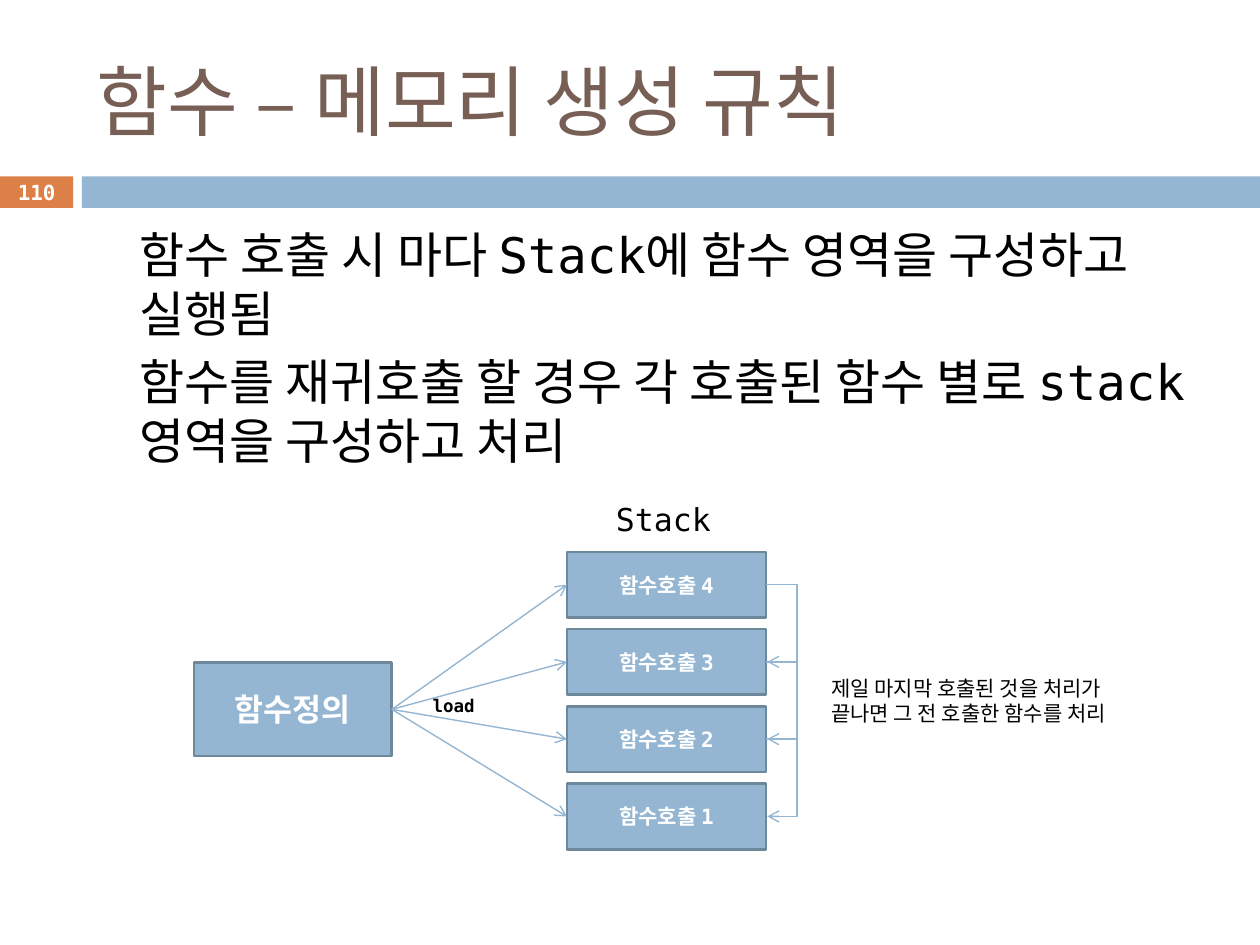
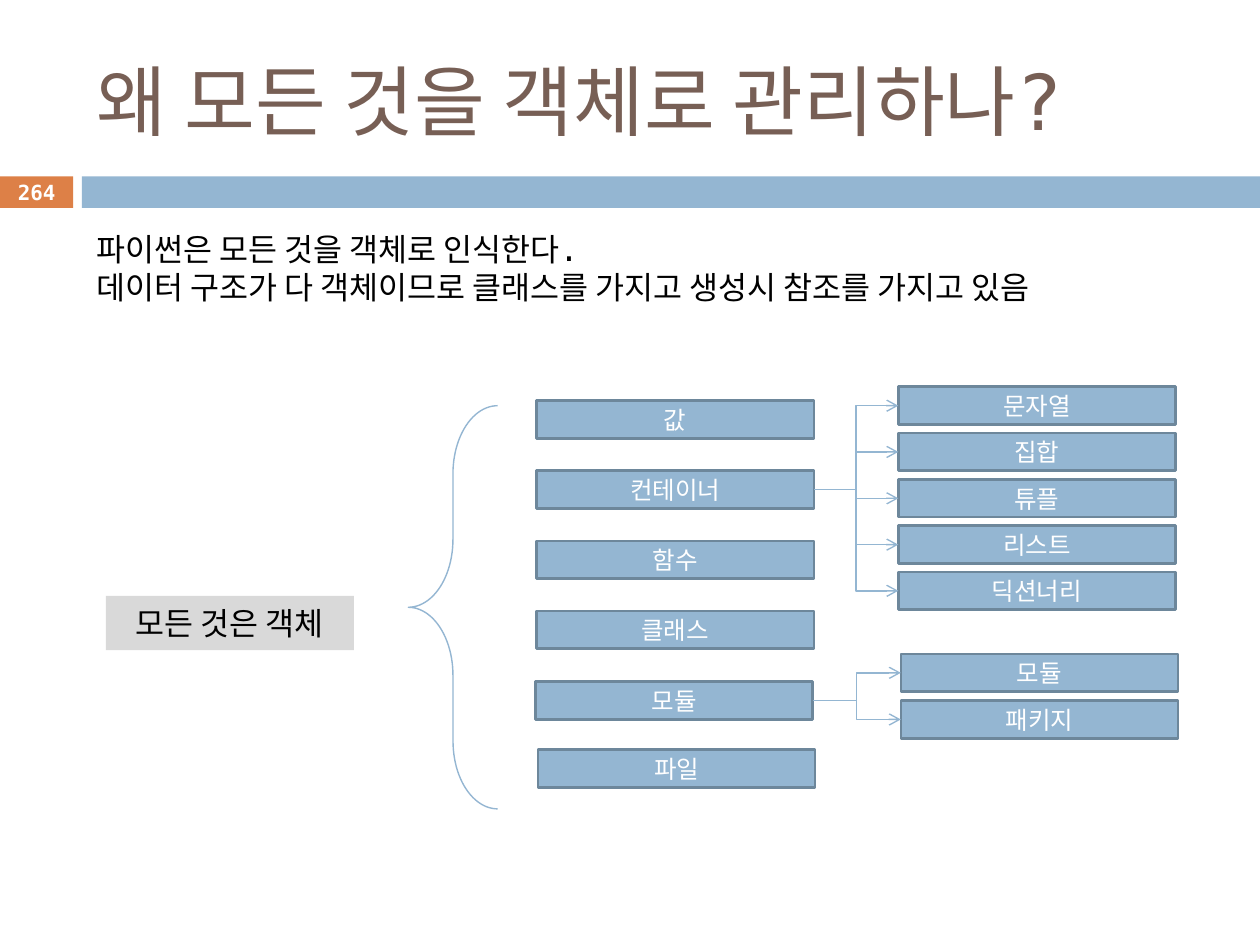
"""Build two lecture slides on call stacks and on objects in Python."""
from dataclasses import dataclass

from lxml import etree
from pptx import Presentation
from pptx.dml.color import RGBColor
from pptx.enum.shapes import MSO_CONNECTOR, MSO_SHAPE
from pptx.enum.text import MSO_ANCHOR, PP_ALIGN
from pptx.oxml.ns import qn
from pptx.shapes.autoshape import Shape
from pptx.slide import Slide
from pptx.util import Inches, Pt

BLUE = RGBColor(0x94, 0xB6, 0xD2)
BLUE_EDGE = RGBColor(0x6D, 0x87, 0x9B)
ORANGE = RGBColor(0xDD, 0x80, 0x47)
BROWN = RGBColor(0x77, 0x5F, 0x55)
GREY = RGBColor(0xD9, 0xD9, 0xD9)
BLACK = RGBColor(0, 0, 0)
WHITE = RGBColor(0xFF, 0xFF, 0xFF)
FONT = "DejaVu Sans Mono"
THIN, EDGE = Pt(0.79), Pt(1.5)
RECTANGLE, LEFT_BRACE = MSO_SHAPE.RECTANGLE, MSO_SHAPE.LEFT_BRACE
STRAIGHT, ELBOW = MSO_CONNECTOR.STRAIGHT, MSO_CONNECTOR.ELBOW
LEFT, CENTER = PP_ALIGN.LEFT, PP_ALIGN.CENTER
TOP, MIDDLE = MSO_ANCHOR.TOP, MSO_ANCHOR.MIDDLE


@dataclass(frozen=True)
class Area:
    """A rectangle on the page, in inches."""
    left: float
    top: float
    width: float
    height: float

    @property
    def right(self) -> float:
        """Return the right edge."""
        return self.left + self.width

    @property
    def middle(self) -> float:
        """Return the height of the horizontal centre line."""
        return self.top + self.height / 2

    def lengths(self) -> tuple:
        """Return left, top, width and height as lengths."""
        return tuple(Inches(v) for v in (self.left, self.top, self.width, self.height))


@dataclass(frozen=True)
class Column:
    """Equal boxes spread evenly from the first area to the last top."""
    first: Area
    last_top: float
    labels: tuple[str, ...]
    size: float = 14
    bold: bool = False

    def areas(self) -> list[Area]:
        """Return the area of each box from top to bottom."""
        first = self.first
        pitch = (self.last_top - first.top) / (len(self.labels) - 1)
        return [Area(first.left, first.top + row * pitch, first.width, first.height)
                for row in range(len(self.labels))]


def write(shape: Shape, text: str, *, size: float, color: RGBColor = BLACK, bold: bool = False,
          align: PP_ALIGN = LEFT, anchor: MSO_ANCHOR = TOP, indent: float = 0,
          space: float = 0) -> None:
    """Write text into a shape, one paragraph for each line."""
    frame = shape.text_frame
    frame.word_wrap = True
    frame.vertical_anchor = anchor
    for number, line in enumerate(text.split("\n")):
        para = frame.add_paragraph() if number else frame.paragraphs[0]
        para.alignment = align
        if indent:
            properties = para._p.get_or_add_pPr()
            properties.set("marL", str(Inches(indent)))
            properties.set("indent", "0")
        if number:
            para.space_before = Pt(space)
        span = para.add_run()
        span.text = line
        span.font.size = Pt(size)
        span.font.bold = bold
        span.font.color.rgb = color
        span.font.name = FONT


def add_text(page: Slide, area: Area, text: str, **style) -> None:
    """Add a text box."""
    write(page.shapes.add_textbox(*area.lengths()), text, **style)


def add_box(page: Slide, area: Area, fill: RGBColor, edge: RGBColor | None = None) -> Shape:
    """Add a filled rectangle."""
    box = page.shapes.add_shape(RECTANGLE, *area.lengths())
    box.shadow.inherit = False
    box.fill.solid()
    box.fill.fore_color.rgb = fill
    if edge is None:
        box.line.fill.background()
    else:
        box.line.color.rgb = edge
        box.line.width = EDGE
    return box


def add_label_box(page: Slide, area: Area, text: str, size: float = 14,
                  bold: bool = False) -> None:
    """Add a blue box with a white centred label."""
    write(add_box(page, area, BLUE, BLUE_EDGE), text, size=size, color=WHITE, bold=bold,
          align=CENTER, anchor=MIDDLE)


def add_column(page: Slide, column: Column) -> list[Area]:
    """Draw a column of labelled boxes and return their areas."""
    areas = column.areas()
    for area, label in zip(areas, column.labels):
        add_label_box(page, area, label, column.size, column.bold)
    return areas


def add_arrow(page: Slide, kind: MSO_CONNECTOR, start: tuple[float, float],
              end: tuple[float, float], bend: float | None = None) -> None:
    """Add an arrow; bend places the elbow as a multiple of the width."""
    arrow = page.shapes.add_connector(kind, *(Inches(v) for v in (*start, *end)))
    arrow.line.color.rgb = BLUE
    arrow.line.width = THIN
    properties = arrow._element.spPr
    etree.SubElement(properties.find(qn("a:ln")), qn("a:tailEnd")).set("type", "arrow")
    etree.SubElement(properties, qn("a:effectLst"))
    if bend is not None:
        geometry = properties.find(qn("a:prstGeom"))
        guides = geometry.find(qn("a:avLst"))
        if guides is None:
            guides = etree.SubElement(geometry, qn("a:avLst"))
        guide = etree.SubElement(guides, qn("a:gd"))
        guide.set("name", "adj1")
        guide.set("fmla", f"val {round(bend * 100000)}")


def fan_out(page: Slide, kind: MSO_CONNECTOR, source: Area, targets: list[Area]) -> None:
    """Draw arrows from the right of one box to the left of others."""
    for target in targets:
        add_arrow(page, kind, (source.right, source.middle), (target.left, target.middle))


def add_page(deck: Presentation, title: str, number: int) -> Slide:
    """Add a page with the shared band, number and title."""
    page = deck.slides.add_slide(deck.slide_layouts[6])
    add_box(page, Area(0, 1.4, 0.58, 0.25), ORANGE)
    add_box(page, Area(0.65, 1.4, 9.35, 0.25), BLUE)
    add_text(page, Area(0.67, 0.25, 8.92, 1.08), title, size=44, color=BROWN, anchor=MIDDLE)
    add_text(page, Area(0, 1.39, 0.58, 0.27), str(number), size=11.9, color=WHITE, bold=True,
             align=CENTER, anchor=MIDDLE)
    return page


def build_stack_page(deck: Presentation) -> None:
    """Show how each function call is loaded on the stack."""
    page = add_page(deck, "함수 – 메모리 생성 규칙", 110)
    add_text(page, Area(0.51, 1.73, 9, 2.42),
             "함수 호출 시 마다 Stack에 함수 영역을 구성하고 실행됨\n"
             "함수를 재귀호출 할 경우 각 호출된 함수 별로 stack영역을 구성하고 처리",
             size=28, indent=0.5, space=5.5)
    definition = Area(1.54, 5.26, 1.57, 0.74)
    add_label_box(page, definition, "함수정의", 18, True)
    labels = tuple(f"함수호출 {call}" for call in range(4, 0, -1))
    calls = add_column(page, Column(Area(4.5, 4.38, 1.58, 0.52), 6.22, labels, 12, True))
    add_text(page, Area(4.48, 3.92, 1.57, 0.4), "Stack", size=18, align=CENTER)
    fan_out(page, STRAIGHT, definition, calls)
    for upper, lower in zip(calls, calls[1:]):
        add_arrow(page, ELBOW, (6.08, upper.middle), (6.09, lower.middle), bend=25)
    add_text(page, Area(6.5, 5.31, 2.83, 0.5),
             "제일 마지막 호출된 것을 처리가 끝나면 그 전 호출한 함수를 처리", size=12)
    add_text(page, Area(3.13, 5.47, 0.94, 0.27), "load", size=10, bold=True, align=CENTER)


def build_object_page(deck: Presentation) -> None:
    """Show the kinds of things that are objects."""
    page = add_page(deck, "왜 모든 것을 객체로 관리하나?", 264)
    add_text(page, Area(0.67, 1.78, 8.74, 0.71),
             "파이썬은 모든 것을 객체로 인식한다.\n"
             "데이터 구조가 다 객체이므로 클래스를 가지고 생성시 참조를 가지고 있음", size=18)
    root = add_box(page, Area(0.84, 4.73, 1.97, 0.43), GREY)
    write(root, "모든 것은 객체", size=18, align=CENTER, anchor=MIDDLE)

    brace = page.shapes.add_shape(LEFT_BRACE, *Area(3.24, 3.22, 0.71, 3.2).lengths())
    brace.shadow.inherit = False
    brace.fill.background()
    brace.line.color.rgb = BLUE
    brace.line.width = THIN
    brace.adjustments[0] = 0.76

    kinds = add_column(page, Column(Area(4.26, 3.18, 2.2, 0.3), 4.85,
                                    ("값", "컨테이너", "함수", "클래스")))
    module = Area(4.25, 5.41, 2.2, 0.3)
    add_label_box(page, module, "모듈")
    add_label_box(page, Area(4.27, 5.95, 2.2, 0.3), "파일")
    containers = add_column(page, Column(Area(7.13, 3.07, 2.2, 0.3), 4.54,
                                         ("문자열", "집합", "튜플", "리스트", "딕션너리")))
    module_kinds = add_column(page, Column(Area(7.15, 5.19, 2.2, 0.3), 5.56,
                                           ("모듈", "패키지")))
    fan_out(page, ELBOW, kinds[1], containers)
    fan_out(page, ELBOW, module, module_kinds)


def main() -> None:
    """Build and save the deck."""
    deck = Presentation()
    deck.slide_width, deck.slide_height = Inches(10), Inches(7.5)
    build_stack_page(deck)
    build_object_page(deck)
    deck.save("out.pptx")


if __name__ == "__main__":
    main()
